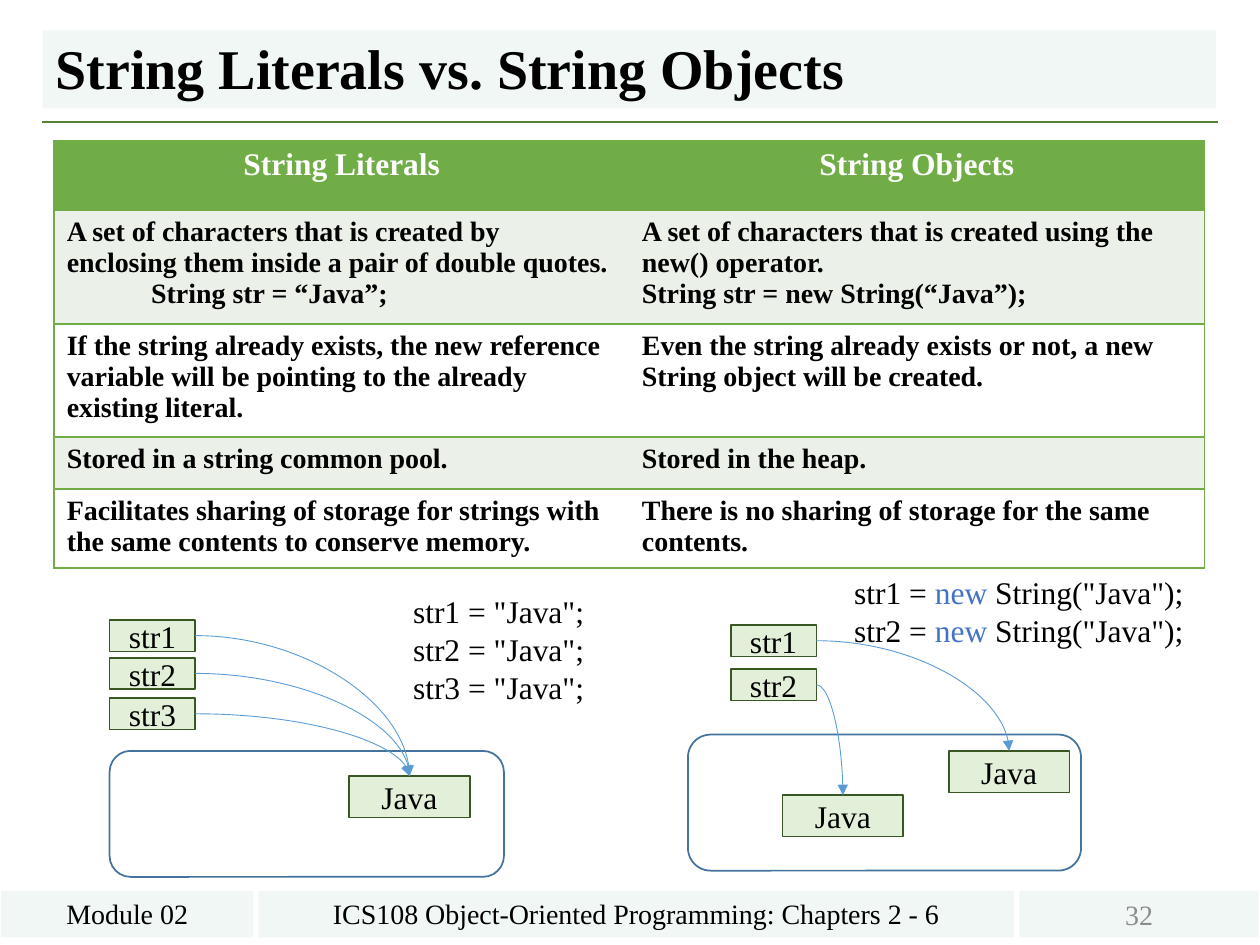
from lxml import etree
from pptx import Presentation
from pptx.dml.color import RGBColor
from pptx.enum.shapes import MSO_CONNECTOR, MSO_SHAPE
from pptx.enum.text import MSO_ANCHOR, MSO_AUTO_SIZE, PP_ALIGN
from pptx.oxml.ns import qn
from pptx.util import Inches, Pt

LEFT, CENTER = PP_ALIGN.LEFT, PP_ALIGN.CENTER
TOP, MIDDLE, BOTTOM = MSO_ANCHOR.TOP, MSO_ANCHOR.MIDDLE, MSO_ANCHOR.BOTTOM
RECT, ROUNDED = MSO_SHAPE.RECTANGLE, MSO_SHAPE.ROUNDED_RECTANGLE
STRAIGHT, CURVE = MSO_CONNECTOR.STRAIGHT, MSO_CONNECTOR.CURVE
TOP_SITE, RIGHT_SITE = 0, 3
NO_TABLE_STYLE = "{2D5ABB26-0587-4C30-8999-92F81FD0307C}"

HEADERS = ["String Literals", "String Objects"]
COMPARISON = [
    (["A set of characters that is created by enclosing them inside a pair of double quotes.",
      "String str = “Java”;"],
     ["A set of characters that is created using the new() operator.",
      "String str = new String(“Java”);"]),
    (["If the string already exists, the new reference variable will be "
      "pointing to the already existing literal."],
     ["Even the string already exists or not, a new String object will be created."]),
    (["Stored in a string common pool."], ["Stored in the heap."]),
    (["Facilitates sharing of storage for strings with the same contents to conserve memory."],
     ["There is no sharing of storage for the same contents."]),
]
ROW_HEIGHTS = [0.55, 0.9, 0.9, 0.41, 0.63]


def color(hex_string):
    return RGBColor.from_string(hex_string)


def write(frame, paragraphs, size=18, ink="000000", bold=False, align=LEFT, anchor=TOP):
    """Fill a text frame; a paragraph is a string or a list of (text, colour) runs."""
    frame.vertical_anchor = anchor
    for i, content in enumerate(paragraphs):
        paragraph = frame.paragraphs[0] if i == 0 else frame.add_paragraph()
        paragraph.alignment = align
        runs = [(content, ink)] if isinstance(content, str) else content
        for text, run_ink in runs:
            run = paragraph.add_run()
            run.text = text
            run.font.name = Deck.font
            run.font.size = Pt(size)
            run.font.bold = bold
            run.font.color.rgb = color(run_ink)


class Deck:
    font = "Times New Roman"
    band = "F1F7F4"
    green = "70AD47"
    rule = "548235"
    box_fill, box_line = "E2F0D9", "385723"
    pool_line, arrow_line = "43739E", "5B9BD5"
    keyword = "4472C4"

    def __init__(self, slide):
        self.slide = slide

    def title(self, text, x, y, w, h):
        title = self.slide.shapes.title
        title.left, title.top, title.width, title.height = map(Inches, (x, y, w, h))
        title.fill.solid()
        title.fill.fore_color.rgb = color(self.band)
        frame = title.text_frame
        frame.auto_size = MSO_AUTO_SIZE.NONE
        write(frame, [text], size=32, bold=True, anchor=BOTTOM)
        frame.paragraphs[0].line_spacing = 0.9

    def shape(self, x, y, w, h, kind=RECT, fill=None, line=None):
        shape = self.slide.shapes.add_shape(kind, *map(Inches, (x, y, w, h)))
        shape.shadow.inherit = False
        if fill:
            shape.fill.solid()
            shape.fill.fore_color.rgb = color(fill)
        else:
            shape.fill.background()
        if line:
            shape.line.color.rgb = color(line)
            shape.line.width = Pt(1)
        else:
            shape.line.fill.background()
        return shape

    def footer(self, text, x, w, ink="000000", anchor=TOP):
        footer = self.shape(x, 7.07, w, 0.37, fill=self.band)
        write(footer.text_frame, [text], size=16, ink=ink, align=CENTER, anchor=anchor)

    def box(self, text, x, y, w, h):
        box = self.shape(x, y, w, h, fill=self.box_fill, line=self.box_line)
        write(box.text_frame, [text], align=CENTER, anchor=MIDDLE)
        return box

    def variable(self, name, x, y):
        return self.box(name, x, y, 0.68, 0.25)

    def java_object(self, x, y):
        return self.box("Java", x, y, 0.96, 0.33)

    def pool(self, x, y, w, h):
        self.shape(x, y, w, h, kind=ROUNDED, line=self.pool_line)

    def code(self, lines, x, y, w, h):
        code = self.slide.shapes.add_textbox(*map(Inches, (x, y, w, h)))
        code.text_frame.word_wrap = False
        code.text_frame.auto_size = MSO_AUTO_SIZE.SHAPE_TO_FIT_TEXT
        write(code.text_frame, lines)

    def line(self, kind, start, end, ink, width):
        line = self.slide.shapes.add_connector(kind, *map(Inches, (*start, *end)))
        line.line.color.rgb = color(ink)
        line.line.width = Pt(width)
        etree.SubElement(line._element.spPr, qn("a:effectLst"))
        return line

    def reference(self, variable, target):
        """Curved arrow from the right of a variable to the top of its object."""
        arrow = self.line(CURVE, (0, 0), (1, 1), self.arrow_line, 0.5)
        arrow.begin_connect(variable, RIGHT_SITE)
        arrow.end_connect(target, TOP_SITE)
        properties = arrow._element.spPr
        properties.find(qn("a:prstGeom")).set("prst", "curvedConnector2")
        etree.SubElement(properties.find(qn("a:ln")), qn("a:tailEnd"), type="triangle")

    def cell(self, cell, paragraphs, fill, sides, **text_format):
        properties = cell._tc.get_or_add_tcPr()
        for side in sides:
            border = etree.SubElement(properties, qn(f"a:ln{side}"), w=str(Pt(1)))
            solid = etree.SubElement(border, qn("a:solidFill"))
            etree.SubElement(solid, qn("a:srgbClr"), val=self.green)
        cell.fill.solid()
        cell.fill.fore_color.rgb = color(fill)
        write(cell.text_frame, paragraphs, bold=True, **text_format)

    def comparison(self, x, y, w):
        rows = len(ROW_HEIGHTS)
        frame = self.slide.shapes.add_table(
            rows, 2, *map(Inches, (x, y, w, sum(ROW_HEIGHTS))))
        table = frame.table
        table._tbl.tblPr.find(qn("a:tableStyleId")).text = NO_TABLE_STYLE
        for row, height in zip(table.rows, ROW_HEIGHTS):
            row.height = Inches(height)
        for c, sides in enumerate(["LTB", "RTB"]):
            self.cell(table.cell(0, c), [HEADERS[c]], self.green, sides,
                      ink="FFFFFF", align=CENTER, anchor=MIDDLE)
            for r, contents in enumerate(COMPARISON, 1):
                fill = "EBF1E9" if r % 2 else "FFFFFF"
                self.cell(table.cell(r, c), contents[c], fill, sides, size=16)
        literal_example = table.cell(1, 0).text_frame.paragraphs[1]
        literal_example._p.get_or_add_pPr().set("marL", str(Inches(0.67)))


def main():
    presentation = Presentation()
    presentation.slide_width, presentation.slide_height = Inches(10), Inches(7.5)
    deck = Deck(presentation.slides.add_slide(presentation.slide_layouts[5]))

    deck.line(STRAIGHT, (0.33, 0.97), (9.67, 0.97), deck.rule, 1.5)
    deck.footer("ICS108 Object-Oriented Programming: Chapters 2 - 6", 2.05, 6)
    deck.footer("Module 02", 0.01, 2)
    deck.footer("32", 8.09, 1.9, ink="8C8C8C", anchor=MIDDLE)
    deck.title("String Literals vs. String Objects", 0.34, 0.24, 9.31, 0.62)
    deck.comparison(0.43, 1.12, 9.13)

    deck.pool(0.87, 5.96, 3.13, 1)
    shared_literal = deck.java_object(2.77, 6.16)
    for number, y in enumerate([4.92, 5.22, 5.54], 1):
        deck.reference(deck.variable(f"str{number}", 0.87, y), shared_literal)

    deck.pool(5.46, 5.83, 3.12, 1.08)
    for number, (y, place) in enumerate([(4.96, (7.53, 5.96)), (5.31, (6.21, 6.31))], 1):
        deck.reference(deck.variable(f"str{number}", 5.8, y), deck.java_object(*place))

    black = "000000"
    deck.code([[(f"str{n} = ", black), ("new", deck.keyword), (' String("Java");', black)]
               for n in (1, 2)], 6.68, 4.5, 3.02, 0.71)
    deck.code([f'str{n} = "Java";' for n in (1, 2, 3)], 3.18, 4.65, 1.64, 1.01)
    presentation.save("out.pptx")


if __name__ == "__main__":
    main()
